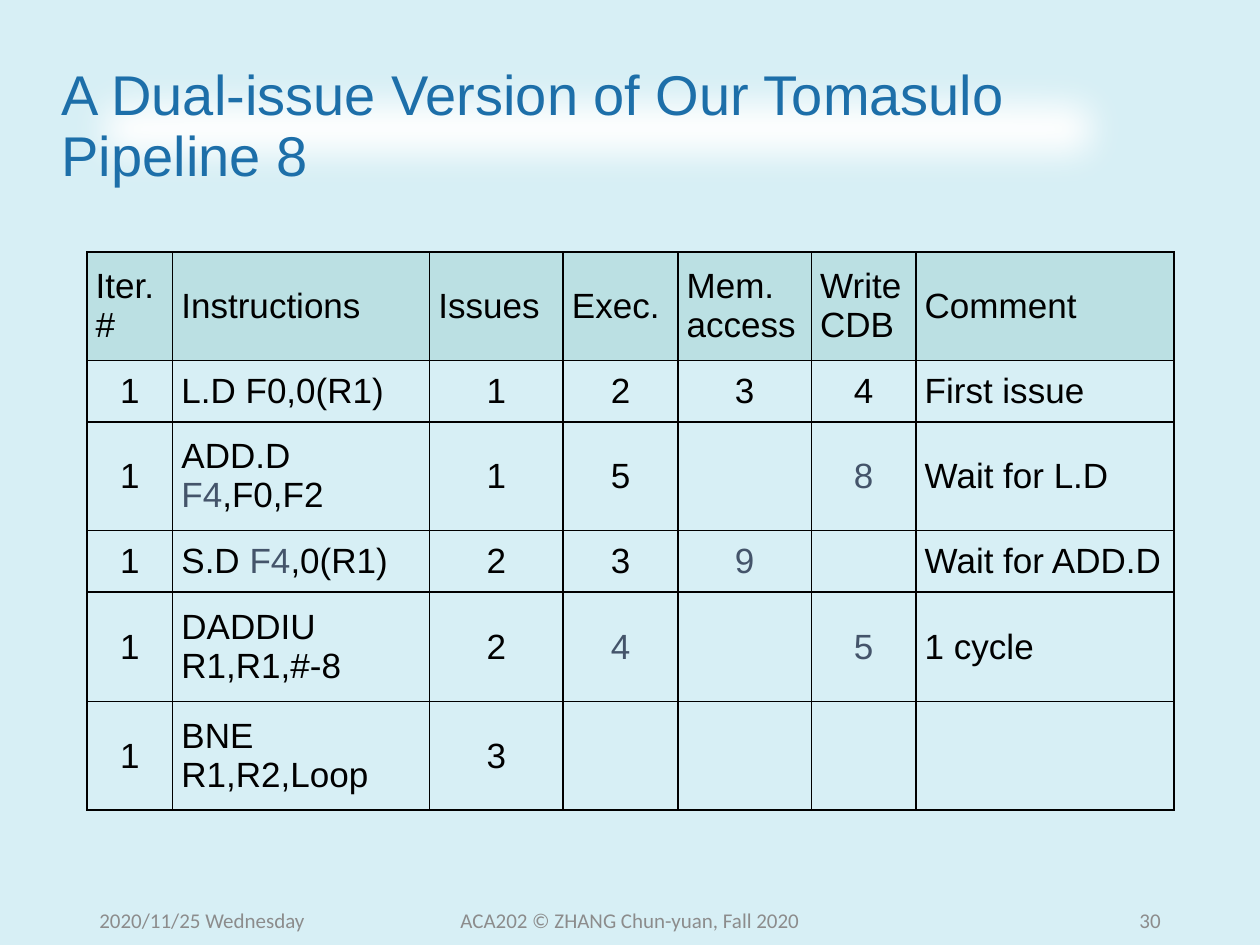
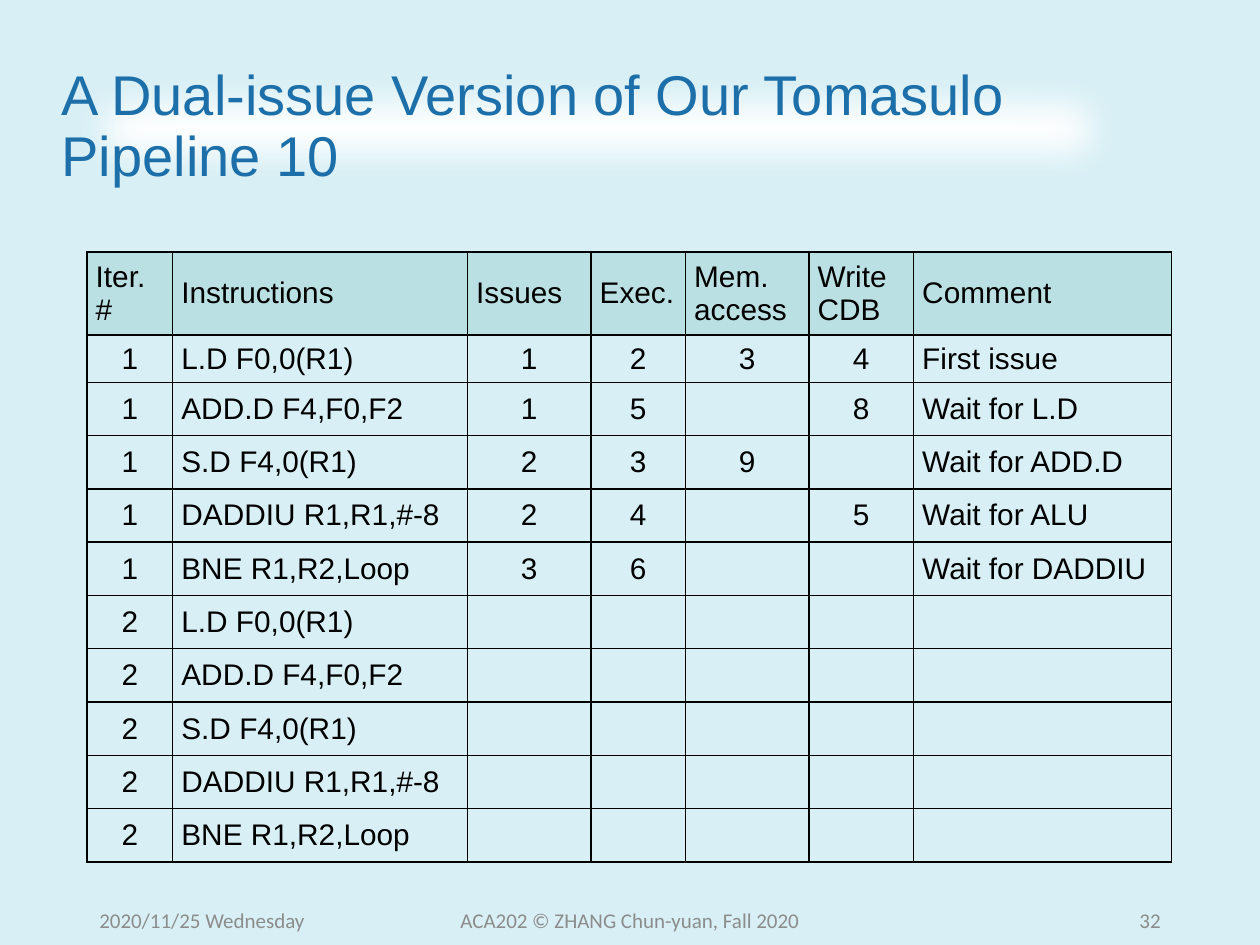
"""Build two slides that trace a dual-issue Tomasulo pipeline in tables."""

import dataclasses
import typing

import lxml.etree
import pptx
import pptx.dml.color
import pptx.enum.shapes
import pptx.enum.text
import pptx.oxml.ns
import pptx.presentation
import pptx.shapes.autoshape
import pptx.slide
import pptx.table
import pptx.util

RGBColor = pptx.dml.color.RGBColor
Align = pptx.enum.text.PP_ALIGN
Anchor = pptx.enum.text.MSO_ANCHOR
qualified = pptx.oxml.ns.qn

BACKGROUND = RGBColor(0xD7, 0xEF, 0xF5)
WHITE = RGBColor(0xFF, 0xFF, 0xFF)
BLACK = RGBColor(0x00, 0x00, 0x00)
TITLE_BLUE = RGBColor(0x1D, 0x6F, 0xA9)
HEADER_TEAL = RGBColor(0xBB, 0xE0, 0xE3)
HIGHLIGHT = RGBColor(0x44, 0x54, 0x6A)
FOOTER_GRAY = RGBColor(0x8C, 0x8C, 0x8C)

SLIDE_WIDTH = pptx.util.Inches(10)
SLIDE_HEIGHT = pptx.util.Inches(7.5)
GRID_COLUMNS = 100
GRID_ROWS = 75

BODY_FONT = "Arial"
FOOTER_FONT = "Calibri"
TITLE_TEXT = "A Dual-issue Version of Our Tomasulo Pipeline"
DATE_TEXT = "2020/11/25 Wednesday"
COURSE_TEXT = "ACA202 © ZHANG Chun-yuan, Fall 2020"
HEADERS = ("Iter. #", "Instructions", "Issues", "Exec.", "Mem. access", "Write CDB", "Comment")
LOOP = ("L.D F0,0(R1)", "ADD.D F4,F0,F2", "S.D F4,0(R1)", "DADDIU R1,R1,#-8", "BNE R1,R2,Loop")
TEXT_COLUMNS = ("Instructions", "Comment")
HIGHLIGHT_MARK = "|"
EDGE_RADIUS = pptx.util.Pt(25)
BORDER_WIDTH = pptx.util.Pt(1)

Row = tuple[str, ...]


class Box(typing.NamedTuple):
    """Place on the grid, in columns and rows."""

    left: float
    top: float
    width: float
    height: float


class TextStyle(typing.NamedTuple):
    """Font, size in points, colour and alignment."""

    font: str
    size: int
    color: RGBColor
    align: Align


@dataclasses.dataclass(frozen=True)
class PipelineSlide:
    """Content of one slide, with table measures in grid columns and rows."""

    step: int
    number: int
    text_size: int
    column_widths: tuple[float, ...]
    row_heights: tuple[float, ...]
    rows: tuple[Row, ...]


TITLE_BOX = Box(3.9, 4, 86.9, 12.3)
TABLE_BOX = Box(6.9, 20, 86.3, 44.3)
DATE_BOX = Box(6.9, 71, 22.5, 4)
COURSE_BOX = Box(33.1, 71, 33.8, 4)
NUMBER_BOX = Box(70.6, 71, 22.5, 4)
TITLE_STYLE = TextStyle(BODY_FONT, 32, TITLE_BLUE, Align.LEFT)

PIPELINE_SLIDES = (
    PipelineSlide(
        step=8,
        number=30,
        text_size=20,
        column_widths=(6.8, 20.4, 10.6, 9.1, 10.6, 8.3, 20.5),
        row_heights=(8.6, 4.9, 8.6, 4.9, 8.7, 8.6),
        rows=(
            ("1", LOOP[0], "1", "2", "3", "4", "First issue"),
            ("1", "ADD.D |F4|,F0,F2", "1", "5", "", "|8|", "Wait for L.D"),
            ("1", "S.D |F4|,0(R1)", "2", "3", "|9|", "", "Wait for ADD.D"),
            ("1", LOOP[3], "2", "|4|", "", "|5|", "1 cycle"),
            ("1", LOOP[4], "3", "", "", "", ""),
        ),
    ),
    PipelineSlide(
        step=10,
        number=32,
        text_size=17,
        column_widths=(6.8, 23.4, 9.8, 7.5, 9.8, 8.3, 20.5),
        row_heights=(6.6, 3.75) + (4.23,) * 9,
        rows=(
            ("1", LOOP[0], "1", "2", "3", "4", "First issue"),
            ("1", LOOP[1], "1", "5", "", "8", "Wait for L.D"),
            ("1", LOOP[2], "2", "3", "9", "", "Wait for ADD.D"),
            ("1", LOOP[3], "2", "4", "", "5", "Wait for ALU"),
            ("1", LOOP[4], "3", "6", "", "", "Wait for DADDIU"),
        )
        + tuple(("2", instruction, "", "", "", "", "") for instruction in LOOP),
    ),
)


def across(columns: float) -> pptx.util.Emu:
    """Turn grid columns into a length."""
    return pptx.util.Emu(round(SLIDE_WIDTH * columns / GRID_COLUMNS))


def down(rows: float) -> pptx.util.Emu:
    """Turn grid rows into a length."""
    return pptx.util.Emu(round(SLIDE_HEIGHT * rows / GRID_ROWS))


def place(box: Box) -> tuple[pptx.util.Emu, ...]:
    """Give left, top, width and height of a box."""
    return across(box.left), down(box.top), across(box.width), down(box.height)


def write(paragraph: typing.Any, text: str, style: TextStyle) -> None:
    """Fill a paragraph, with marked parts in the highlight colour."""
    paragraph.alignment = style.align
    for index, part in enumerate(text.split(HIGHLIGHT_MARK)):
        if part:
            run = paragraph.add_run()
            run.text = part
            run.font.name = style.font
            run.font.size = pptx.util.Pt(style.size)
            run.font.color.rgb = HIGHLIGHT if index % 2 else style.color


def add_title(slide: pptx.slide.Slide, text: str) -> None:
    """Draw the title on its soft-edged white band."""
    shape = slide.shapes.add_shape(pptx.enum.shapes.MSO_SHAPE.RECTANGLE, *place(TITLE_BOX))
    shape.shadow.inherit = False
    shape.fill.solid()
    shape.fill.fore_color.rgb = WHITE
    shape.line.fill.background()
    effects = shape._element.spPr.find(qualified("a:effectLst"))
    lxml.etree.SubElement(effects, qualified("a:softEdge"), rad=str(EDGE_RADIUS))
    shape.text_frame.word_wrap = True
    shape.text_frame.vertical_anchor = Anchor.MIDDLE
    paragraph = shape.text_frame.paragraphs[0]
    paragraph.line_spacing = 0.9
    write(paragraph, text, TITLE_STYLE)


def add_footer(slide: pptx.slide.Slide, box: Box, text: str, align: Align) -> None:
    """Draw one footer text."""
    frame = slide.shapes.add_textbox(*place(box)).text_frame
    frame.word_wrap = True
    frame.vertical_anchor = Anchor.MIDDLE
    write(frame.paragraphs[0], text, TextStyle(FOOTER_FONT, 12, FOOTER_GRAY, align))


def add_borders(cell: pptx.table._Cell) -> None:
    """Give a cell thin black lines on all four sides."""
    properties = cell._tc.get_or_add_tcPr()
    for side in ("lnL", "lnR", "lnT", "lnB"):
        line = lxml.etree.SubElement(properties, qualified(f"a:{side}"), w=str(BORDER_WIDTH))
        fill = lxml.etree.SubElement(line, qualified("a:solidFill"))
        lxml.etree.SubElement(fill, qualified("a:srgbClr"), val=str(BLACK))


def format_cell(cell: pptx.table._Cell, text: str, style: TextStyle, is_header: bool) -> None:
    """Set the text, margins, borders and fill of a cell."""
    cell.vertical_anchor = Anchor.MIDDLE
    cell.margin_left = cell.margin_right = across(0.7)
    cell.margin_top = cell.margin_bottom = down(0.4)
    add_borders(cell)
    if is_header:
        cell.fill.solid()
        cell.fill.fore_color.rgb = HEADER_TEAL
    else:
        cell.fill.background()
    write(cell.text_frame.paragraphs[0], text, style)


def add_pipeline_table(slide: pptx.slide.Slide, content: PipelineSlide) -> None:
    """Draw the table of instructions and cycles."""
    rows = (HEADERS, *content.rows)
    table = slide.shapes.add_table(len(rows), len(HEADERS), *place(TABLE_BOX)).table
    table.first_row = table.horz_banding = False
    for column, width in zip(table.columns, content.column_widths):
        column.width = across(width)
    for row, height in zip(table.rows, content.row_heights):
        row.height = down(height)
    for row_index, texts in enumerate(rows):
        is_header = row_index == 0
        for column_index, (header, text) in enumerate(zip(HEADERS, texts)):
            justified = is_header or header in TEXT_COLUMNS
            align = Align.JUSTIFY if justified else Align.CENTER
            style = TextStyle(BODY_FONT, content.text_size, BLACK, align)
            format_cell(table.cell(row_index, column_index), text, style, is_header)


def add_pipeline_slide(
    presentation: pptx.presentation.Presentation, content: PipelineSlide
) -> None:
    """Add one slide with title, table and footers."""
    slide = presentation.slides.add_slide(presentation.slide_layouts[6])
    slide.background.fill.solid()
    slide.background.fill.fore_color.rgb = BACKGROUND
    add_title(slide, f"{TITLE_TEXT} {content.step}")
    add_pipeline_table(slide, content)
    add_footer(slide, DATE_BOX, DATE_TEXT, Align.LEFT)
    add_footer(slide, COURSE_BOX, COURSE_TEXT, Align.CENTER)
    add_footer(slide, NUMBER_BOX, str(content.number), Align.RIGHT)


def main() -> None:
    """Build and save the presentation."""
    presentation = pptx.Presentation()
    presentation.slide_width = SLIDE_WIDTH
    presentation.slide_height = SLIDE_HEIGHT
    for content in PIPELINE_SLIDES:
        add_pipeline_slide(presentation, content)
    presentation.save("out.pptx")


if __name__ == "__main__":
    main()
